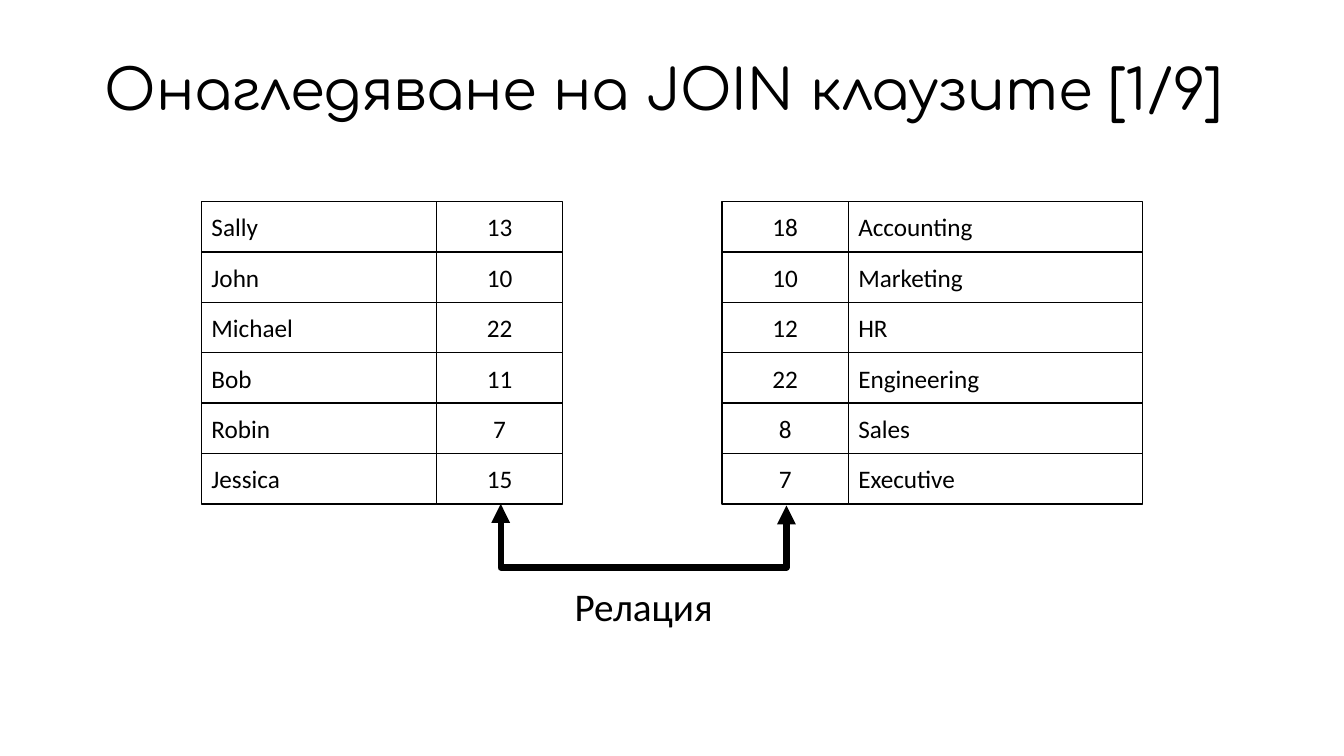
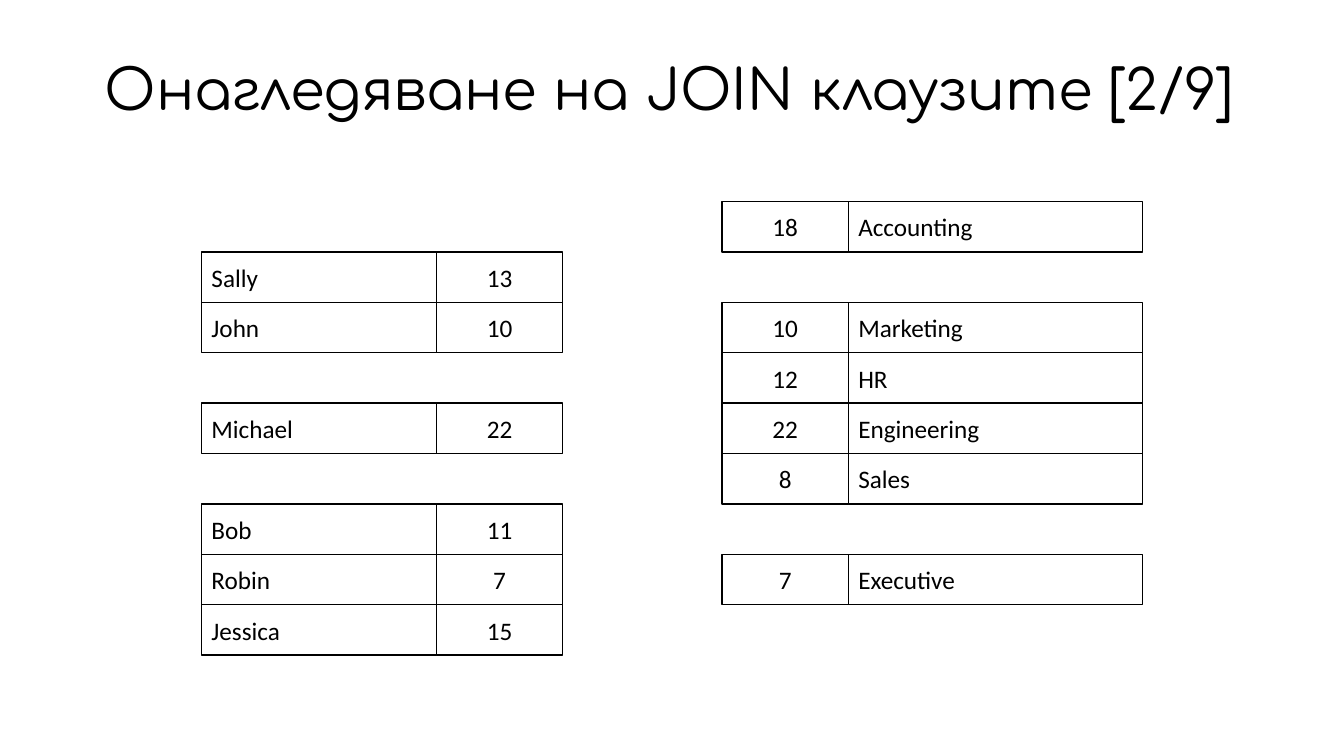
from dataclasses import dataclass

from pptx import Presentation
from pptx.dml.color import RGBColor
from pptx.enum.shapes import MSO_CONNECTOR, MSO_SHAPE
from pptx.enum.text import MSO_ANCHOR, PP_ALIGN
from pptx.oxml.ns import qn
from pptx.util import Cm, Pt
from lxml import etree

RECT = MSO_SHAPE.RECTANGLE
ELBOW = MSO_CONNECTOR.ELBOW
MIDDLE = MSO_ANCHOR.MIDDLE
LEFT, CENTER = PP_ALIGN.LEFT, PP_ALIGN.CENTER

COLORS = {"ink": "000000"}
TITLE_FONT, BODY_FONT = "Comfortaa", "Calibri"
TITLE_ONLY = 5

# Grid, in centimetres
TOP = 5.08
ROW_H = 1.27
KEY_W = 3.18


@dataclass(frozen=True)
class Column:
    left: float
    width: float
    align: PP_ALIGN
    values: tuple[str, ...]


@dataclass(frozen=True)
class Relation:
    columns: tuple[Column, Column]


EMPLOYEES = Relation((
    Column(5.08, 5.92, LEFT, ("Sally", "John", "Michael", "Bob", "Robin", "Jessica")),
    Column(11, KEY_W, CENTER, ("13", "10", "22", "11", "7", "15")),
))
DEPARTMENTS = Relation((
    Column(18.2, KEY_W, CENTER, ("18", "10", "12", "22", "8", "7")),
    Column(21.38, 7.41, LEFT,
           ("Accounting", "Marketing", "HR", "Engineering", "Sales", "Executive")),
))


def ink() -> RGBColor:
    return RGBColor.from_string(COLORS["ink"])


def write(tf, text: str, font: str, size: int, align: PP_ALIGN) -> None:
    tf.text = text
    p = tf.paragraphs[0]
    p.alignment = align
    f = p.runs[0].font
    f.name, f.size = font, Pt(size)
    f.color.rgb = ink()


def add_slide(prs, number: int):
    s = prs.slides.add_slide(prs.slide_layouts[TITLE_ONLY])
    title = s.shapes.title
    title.left, title.top = Cm(2.39), Cm(0.48)
    title.width, title.height = Cm(30.2), Cm(3.68)
    tf = title.text_frame
    tf.vertical_anchor = MIDDLE
    write(tf, f"Онагледяване на JOIN клаузите [{number}/9]", TITLE_FONT, 40, LEFT)
    tf.paragraphs[0].line_spacing = 0.9
    return s


def add_rows(s, relation: Relation, slots: tuple[int, ...]) -> None:
    """Draw each row as a group of two cells in its slot of the grid."""
    for i, slot in enumerate(slots):
        row = s.shapes.add_group_shape()
        for col in relation.columns:
            cell = row.shapes.add_shape(RECT, Cm(col.left), Cm(TOP + slot * ROW_H),
                                        Cm(col.width), Cm(ROW_H))
            cell.shadow.inherit = False
            cell.fill.background()
            cell.line.color.rgb = ink()
            cell.line.width = Pt(1)
            tf = cell.text_frame
            tf.word_wrap = True
            tf.vertical_anchor = MIDDLE
            write(tf, col.values[i], BODY_FONT, 18, col.align)


def add_key_link(s, left: float, right: float, top: float, drop: float) -> None:
    """Join two points at the same height with a U-shaped double arrow."""
    step = 0.04  # the drop is expressed as a multiple of this short side
    mid_x, mid_y = (left + right) / 2, top + step / 2
    half = (right - left) / 2
    cxn = s.shapes.add_connector(ELBOW, Cm(mid_x + step / 2), Cm(mid_y - half),
                                 Cm(mid_x - step / 2), Cm(mid_y + half))
    cxn.line.color.rgb = ink()
    cxn.line.width = Pt(4.5)
    sp_pr = cxn._element.spPr
    # Quarter turn, so that the elbow opens upwards
    sp_pr.find(qn("a:xfrm")).set("rot", str(270 * 60000))
    guides = sp_pr.find(qn("a:prstGeom")).get_or_add_avLst()
    etree.SubElement(guides, qn("a:gd"), name="adj1",
                     fmla=f"val {round(drop / step * 100000)}")
    ln = cxn.line._get_or_add_ln()
    for end in ("a:headEnd", "a:tailEnd"):
        etree.SubElement(ln, qn(end), type="triangle")
    etree.SubElement(sp_pr, qn("a:effectLst"))


def add_label(s, text: str) -> None:
    tb = s.shapes.add_textbox(Cm(14.2), Cm(14.55), Cm(4.04), Cm(1.45))
    tb.text_frame.word_wrap = False
    write(tb.text_frame, text, BODY_FONT, 28, CENTER)


def main() -> None:
    prs = Presentation()
    prs.slide_width, prs.slide_height = Cm(33.87), Cm(19.05)

    # Both tables and the relation between their keys
    s = add_slide(prs, 1)
    for relation in (EMPLOYEES, DEPARTMENTS):
        add_rows(s, relation, tuple(range(6)))
    add_key_link(s, left=12.62, right=19.82, top=TOP + 6 * ROW_H, drop=1.6)
    add_label(s, "Релация")

    # Rows moved apart so that equal keys line up
    s = add_slide(prs, 2)
    add_rows(s, EMPLOYEES, (1, 2, 4, 6, 7, 8))
    add_rows(s, DEPARTMENTS, (0, 2, 3, 4, 5, 7))

    prs.save("out.pptx")


if __name__ == "__main__":
    main()
